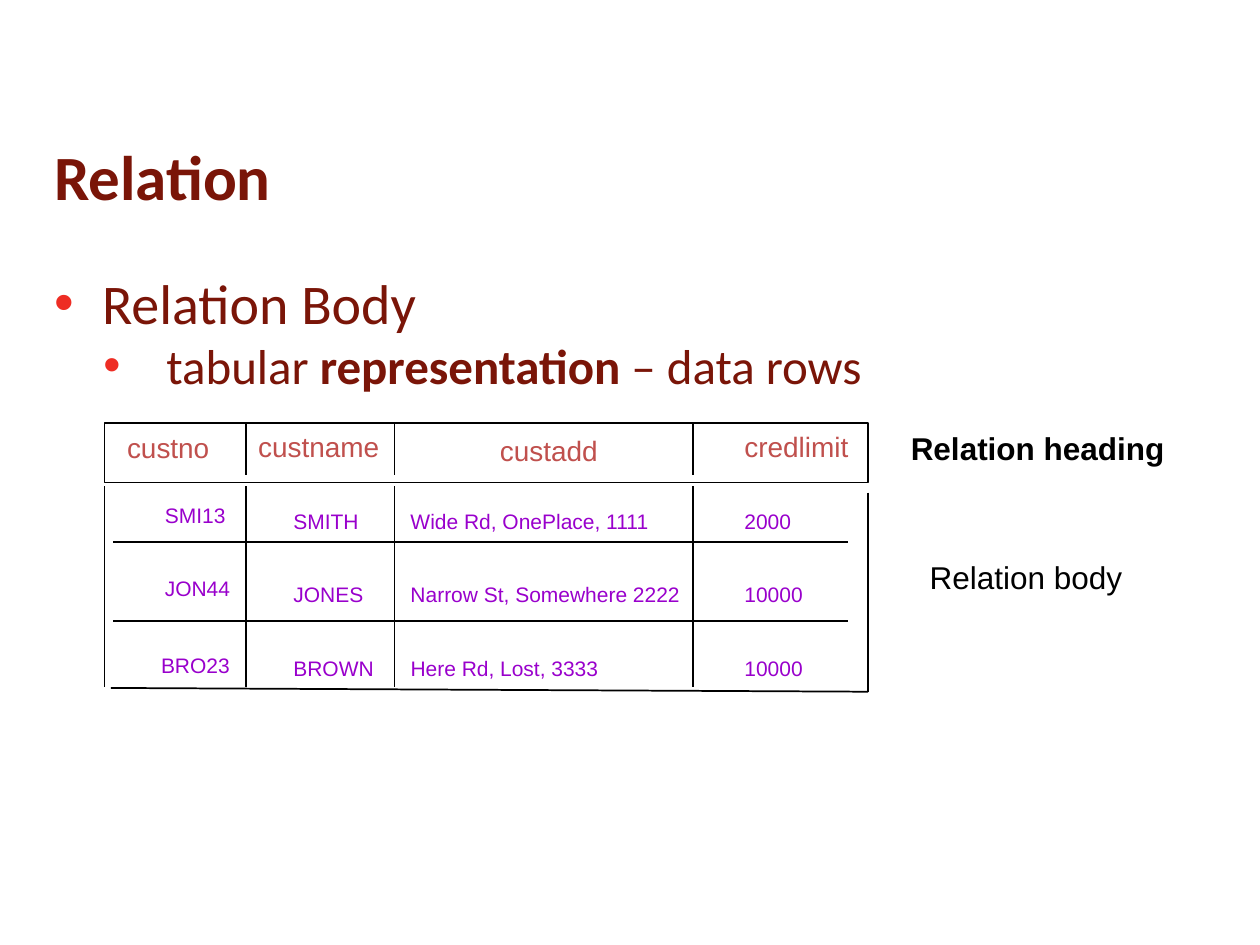
from lxml import etree
from pptx import Presentation
from pptx import util as u
from pptx.dml.color import RGBColor
from pptx.enum import shapes, text
from pptx.oxml import ns

MAROON, RED, ROSE, PURPLE, BLACK = "7A1508", "EE2D24", "C0504D", "9900CC", "000000"
LINE_WIDTH = u.Pt(1)


def add_text(para, words, size=12, font="Arial", color=PURPLE, bold=False):
    """Add a formatted span of words to a paragraph."""
    span = para.add_run()
    span.text = words
    span.font.size = u.Pt(size)
    span.font.name = font
    span.font.bold = bold
    span.font.color.rgb = RGBColor.from_string(color)


def inches_to_cm(*lengths):
    """Turn inches into centimetre lengths."""
    return [u.Cm(length * 2.54) for length in lengths]


deck = Presentation()
deck.slide_width, deck.slide_height = u.Cm(25.4), u.Cm(19.05)
page = deck.slides.add_slide(deck.slide_layouts[1])

# Title and bullet list
title, body = page.shapes.title, page.placeholders[1]
for holder, top, height in [(title, 0.83, 1.12), (body, 2.08, 4.4)]:
    holder.left, holder.top, holder.width, holder.height = inches_to_cm(0.33, top, 9.17, height)
title.text_frame.vertical_anchor = text.MSO_ANCHOR.MIDDLE
heading = title.text_frame.paragraphs[0]
heading.alignment = text.PP_ALIGN.LEFT
add_text(heading, "Relation", size=36, font="Calibri", color=MAROON, bold=True)

bullets = [
    (32, 0.38, -0.38, [("Relation Body", False)]),
    (28, 0.89, -0.5, [("tabular ", False), ("representation", True), (" – data rows", False)]),
]
for level, (size, margin, indent, spans) in enumerate(bullets):
    para = body.text_frame.add_paragraph() if level else body.text_frame.paragraphs[0]
    para.level = level
    para.space_before = u.Pt(0)
    for words, bold in spans:
        add_text(para, words, size=size, font="Calibri", color=MAROON, bold=bold)
    props = para._p.get_or_add_pPr()
    margin, indent = inches_to_cm(margin, indent)
    props.set("marL", str(margin))
    props.set("indent", str(indent))
    bullet_color = etree.SubElement(props, ns.qn("a:buClr"))
    etree.SubElement(bullet_color, ns.qn("a:srgbClr"), val=RED)
    etree.SubElement(props, ns.qn("a:buFont"), typeface="Arial")
    etree.SubElement(props, ns.qn("a:buChar"), char="•")

# Heading frame and rules of the relation
frame = page.shapes.add_shape(shapes.MSO_SHAPE.RECTANGLE, *inches_to_cm(0.83, 3.36, 6.06, 0.47))
frame.shadow.inherit = False
frame.fill.background()
frame.line.color.rgb = RGBColor.from_string(BLACK)
frame.line.width = LINE_WIDTH

rules = [(0.83, 3.86, 0.83, 5.45), (6.89, 3.91, 6.89, 5.49), (0.88, 5.46, 6.89, 5.49)]
rules += [(0.9, y, 6.73, y) for y in (4.3, 4.93)]
for x in (1.95, 3.13, 5.5):
    rules += [(x, 3.36, x, 3.77), (x, 3.86, x, 5.45)]
for ends in rules:
    rule = page.shapes.add_connector(shapes.MSO_CONNECTOR.STRAIGHT, *inches_to_cm(*ends))
    rule.line.color.rgb = RGBColor.from_string(BLACK)
    rule.line.width = LINE_WIDTH
    etree.SubElement(rule._element.spPr, ns.qn("a:effectLst"))

# Labels: words, left, top, width, height, format
column_style = dict(size=16, color=ROSE)
labels = [
    ("custno", 0.91, 3.37, 0.88, 0.37, column_style),
    ("custname", 1.95, 3.36, 1.19, 0.37, column_style),
    ("custadd", 3.87, 3.39, 1, 0.37, column_style),
    ("credlimit", 5.81, 3.36, 1.05, 0.37, column_style),
    ("Relation heading", 7.13, 3.36, 2.25, 0.4, dict(size=18, color=BLACK, bold=True)),
    ("Relation body", 7.28, 4.38, 1.76, 0.4, dict(size=18, color=BLACK)),
    ("SMI13", 1.21, 3.94, 0.71, 0.3, {}),
    ("JON44", 1.21, 4.52, 0.75, 0.3, {}),
    ("BRO23", 1.18, 5.13, 0.77, 0.3, {}),
]
columns = [
    (2.23, 3.99, [("SMITH", 0.75), ("JONES", 0.78), ("BROWN", 0.87)]),
    (3.16, 3.99, [("Wide Rd, OnePlace, 1111", 2.16), ("Narrow St, Somewhere 2222", 2.37),
                  ("Here Rd, Lost, 3333", 1.72)]),
    (5.81, 3.99, [("2000", 0.6), ("10000", 0.69), ("10000", 0.69)]),
]
for left, top, cells in columns:
    for row, (words, width) in enumerate(cells):
        labels.append((words, left, top + row * 0.58, width, 0.3, {}))

for words, left, top, width, height, style in labels:
    box = page.shapes.add_textbox(*inches_to_cm(left, top, width, height))
    box.text_frame.word_wrap = False
    box.text_frame.auto_size = text.MSO_AUTO_SIZE.SHAPE_TO_FIT_TEXT
    add_text(box.text_frame.paragraphs[0], words, **style)

deck.save("out.pptx")
